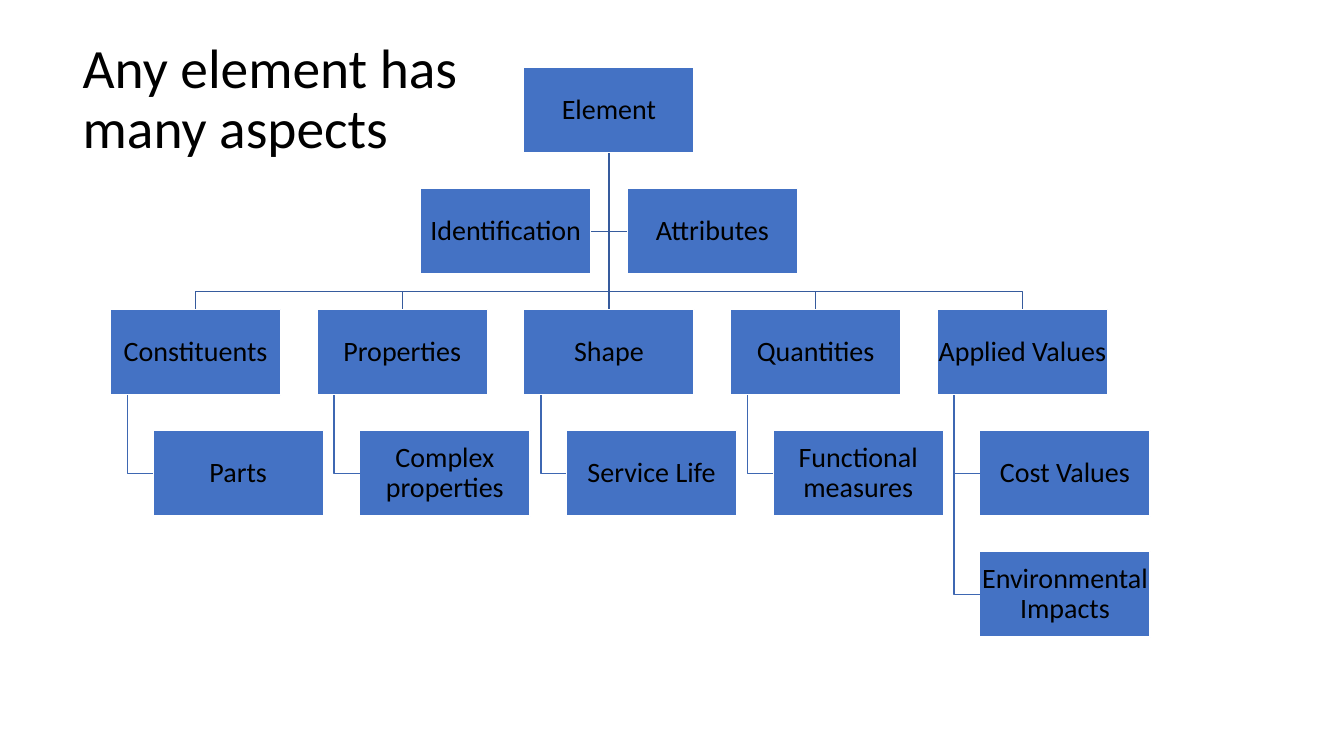
"""Build the slide showing the aspects of an element as a hierarchy."""
from pptx import Presentation
from pptx.dml.color import RGBColor
from pptx.enum.shapes import MSO_CONNECTOR as Connector, MSO_SHAPE as Preset
from pptx.enum.text import MSO_ANCHOR as Anchor, PP_ALIGN as Align
from pptx.oxml.ns import qn
from pptx.util import Inches, Pt
from lxml.etree import SubElement

TITLE = "Any element has many aspects"
ROOT = "Element"
ASSISTANTS = ["Identification", "Attributes"]
BRANCHES = {
    "Constituents": ["Parts"],
    "Properties": ["Complex properties"],
    "Shape": ["Service Life"],
    "Quantities": ["Functional measures"],
    "Applied Values": ["Cost Values", "Environmental Impacts"],
}
COLORS = {"box": "4472C4", "edge": "FFFFFF", "text": "000000",
          "upper": "365B9D", "lower": "3E67B2"}
BOX_FONT = {"name": "Calibri", "size": Pt(20)}
TITLE_FONT = {"name": "Calibri", "size": Pt(39.6)}
BOX_FRAME = {"word_wrap": True, "vertical_anchor": Anchor.MIDDLE,
             "margin_left": Inches(0.01), "margin_right": Inches(0.01),
             "margin_top": Inches(0.01), "margin_bottom": Inches(0.01)}
TITLE_PLACE = {"left": Inches(0.72), "top": Inches(0.35),
               "width": Inches(4.04), "height": Inches(1.29)}

BOX_WIDTH, BOX_HEIGHT = Inches(1.69), Inches(0.85)
CENTER, GAP = Inches(6.04), Inches(0.36)
FIRST_TOP, ROW_PITCH = Inches(0.67), Inches(1.2)
COLUMN_PITCH = BOX_WIDTH + GAP


def set_all(target, values):
    for name, value in values.items():
        setattr(target, name, value)


def color(name):
    return RGBColor.from_string(COLORS[name])


def row_top(row):
    return FIRST_TOP + row * ROW_PITCH


def format_text(frame, text, font, alignment):
    frame.text = text
    paragraph = frame.paragraphs[0]
    set_all(paragraph, {"alignment": alignment, "line_spacing": 0.9})
    set_all(paragraph.font, font)
    paragraph.font.color.rgb = color("text")


def format_line(line, name):
    line.color.rgb = color(name)
    line.width = Pt(1)


def add_box(slide, text, center, row):
    shape = slide.shapes.add_shape(
        Preset.RECTANGLE, int(center - BOX_WIDTH / 2), row_top(row), BOX_WIDTH, BOX_HEIGHT)
    shape.shadow.inherit = False
    shape.fill.solid()
    shape.fill.fore_color.rgb = color("box")
    format_line(shape.line, "edge")
    set_all(shape.text_frame, BOX_FRAME)
    format_text(shape.text_frame, text, BOX_FONT, Align.CENTER)
    return shape


def add_elbow(slide, points, name):
    builder = slide.shapes.build_freeform(*map(int, points[0]))
    builder.add_line_segments(points[1:], close=False)
    shape = builder.convert_to_shape()
    shape.shadow.inherit = False
    shape.fill.background()
    format_line(shape.line, name)


def add_trunk(slide, top_box, bottom_box):
    trunk = slide.shapes.add_connector(Connector.STRAIGHT, 0, 0, 0, 0)
    trunk.begin_connect(top_box, 2)
    trunk.end_connect(bottom_box, 0)
    format_line(trunk.line, "upper")
    SubElement(trunk._element.spPr, qn("a:effectLst"))


def main():
    presentation = Presentation()
    set_all(presentation, {"slide_width": Inches(13.33), "slide_height": Inches(7.5)})
    slide = presentation.slides.add_slide(presentation.slide_layouts[5])

    title = slide.shapes.title
    set_all(title, TITLE_PLACE)
    set_all(title.text_frame, {"word_wrap": True, "vertical_anchor": Anchor.MIDDLE})
    format_text(title.text_frame, TITLE, TITLE_FONT, Align.LEFT)

    root = add_box(slide, ROOT, CENTER, 0)
    root_bottom = row_top(0) + BOX_HEIGHT
    for side, text in zip((-1, 1), ASSISTANTS):
        add_box(slide, text, CENTER + side * COLUMN_PITCH / 2, 1)
        middle = row_top(1) + BOX_HEIGHT / 2
        add_elbow(slide, [(CENTER, root_bottom), (CENTER, middle),
                          (CENTER + side * GAP / 2, middle)], "upper")

    bus = row_top(2) - GAP / 2
    for column, (text, children) in enumerate(BRANCHES.items()):
        center = CENTER + (column - len(BRANCHES) // 2) * COLUMN_PITCH
        branch = add_box(slide, text, center, 2)
        if center == CENTER:
            add_trunk(slide, root, branch)
        else:
            add_elbow(slide, [(CENTER, root_bottom), (CENTER, bus),
                              (center, bus), (center, row_top(2))], "upper")

        spine = branch.left + BOX_WIDTH / 10
        for row, child in enumerate(children, 3):
            add_box(slide, child, center + BOX_WIDTH / 4, row)
            middle = row_top(row) + BOX_HEIGHT / 2
            add_elbow(slide, [(spine, row_top(2) + BOX_HEIGHT), (spine, middle),
                              (branch.left + BOX_WIDTH / 4, middle)], "lower")

    presentation.save("out.pptx")


if __name__ == "__main__":
    main()
